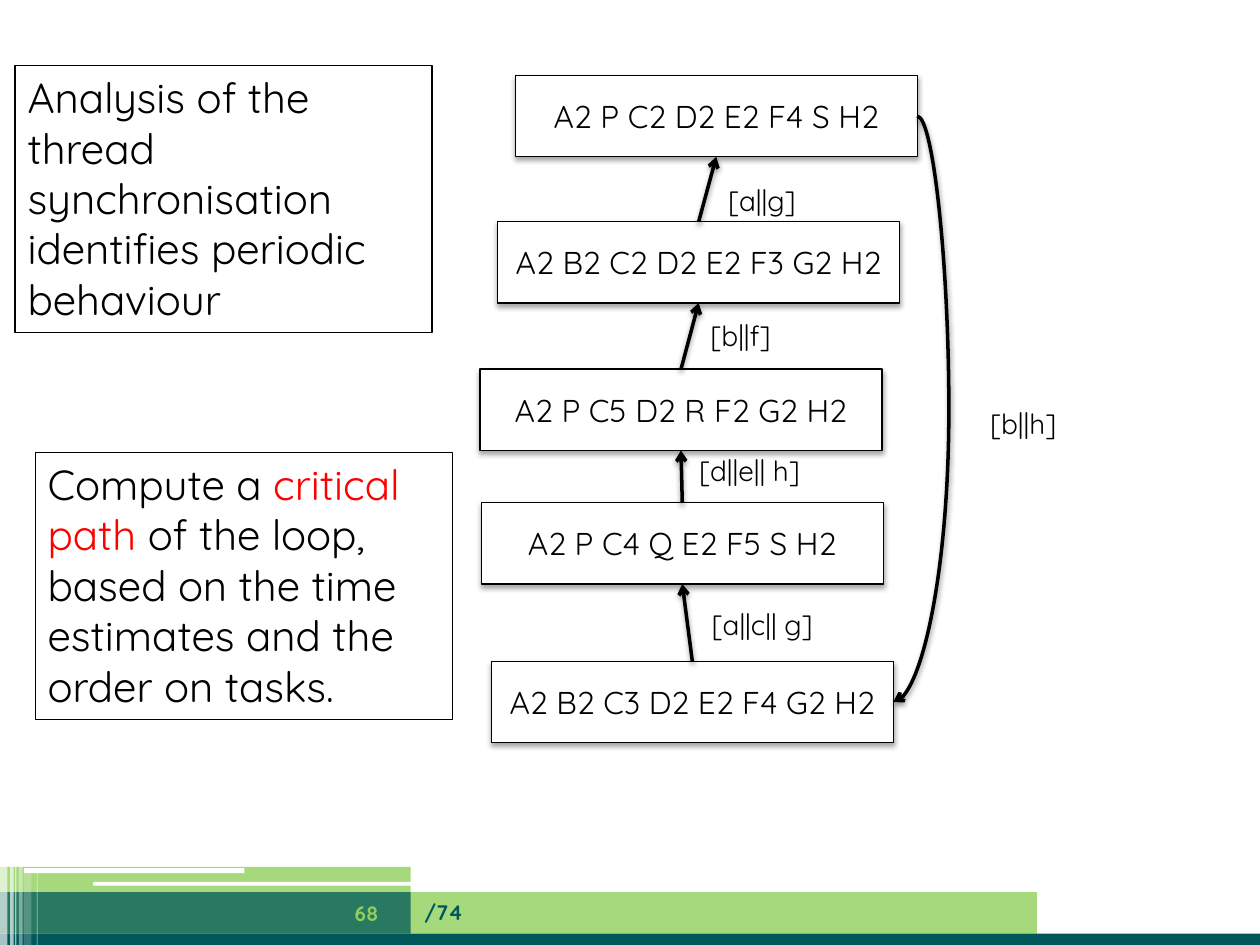
import pptx
import pptx.dml.color
import pptx.enum.shapes
import pptx.enum.text
import pptx.oxml
import pptx.oxml.ns
import pptx.util

RGB = pptx.dml.color.RGBColor
BLACK = RGB(0x00, 0x00, 0x00)
WHITE = RGB(0xFF, 0xFF, 0xFF)
RED = RGB(0xFF, 0x00, 0x00)
GREEN = RGB(0x90, 0xD0, 0x5C)
TEAL = RGB(0x00, 0x58, 0x5A)

KIND = pptx.enum.shapes.MSO_SHAPE
LINK = pptx.enum.shapes.MSO_CONNECTOR
ALIGN = pptx.enum.text.PP_ALIGN
ANCHOR = pptx.enum.text.MSO_ANCHOR
FIT = pptx.enum.text.MSO_AUTO_SIZE
TOP, BOTTOM, RIGHT = 0, 2, 3
NS = pptx.oxml.ns.nsdecls("a")
COLS, ROWS = 100, 75


def write(shape, paras, size=18, color=BLACK, bold=False, align=ALIGN.LEFT,
          anchor=ANCHOR.TOP, grow=False, font="Quicksand"):
    """Fill a shape with paragraphs, each a list of (text, colour or None)."""
    if isinstance(paras, str):
        paras = [[(paras, None)]]
    frame = shape.text_frame
    frame.word_wrap = True
    frame.vertical_anchor = anchor
    if grow:
        frame.auto_size = FIT.SHAPE_TO_FIT_TEXT
    for i, runs in enumerate(paras):
        para = frame.paragraphs[0] if i == 0 else frame.add_paragraph()
        para.alignment = align
        for text, tint in runs:
            run = para.add_run()
            run.text = text
            run.font.name = font
            run.font.size = pptx.util.Pt(size)
            run.font.bold = bold
            run.font.color.rgb = tint or color


def shade(item, alpha):
    """Give an item a soft shadow below it."""
    props = item._element.spPr
    for old in props.findall(pptx.oxml.ns.qn("a:effectLst")):
        props.remove(old)
    props.append(pptx.oxml.parse_xml(
        f'<a:effectLst {NS}><a:outerShdw blurRad="39400" dist="22900" '
        f'dir="5400000" rotWithShape="0"><a:srgbClr val="000000">'
        f'<a:alpha val="{alpha * 1000}"/></a:srgbClr></a:outerShdw></a:effectLst>'))


class Page:
    """A slide on a grid of COLS by ROWS; every place is left, top, width, height."""

    def __init__(self, deck):
        self.slide = deck.slides.add_slide(deck.slide_layouts[6])
        self.col = deck.slide_width / COLS
        self.row = deck.slide_height / ROWS

    def place(self, left, top, width, height):
        return [round(n) for n in (left * self.col, top * self.row,
                                   width * self.col, height * self.row)]

    def block(self, at, fill=None, edge=None, alpha=100, kind=KIND.RECTANGLE):
        shape = self.slide.shapes.add_shape(kind, *self.place(*at))
        shape.shadow.inherit = False
        if fill is None:
            shape.fill.background()
        else:
            shape.fill.solid()
            shape.fill.fore_color.rgb = fill
        if alpha < 100:
            tint = shape._element.spPr.find(".//" + pptx.oxml.ns.qn("a:srgbClr"))
            tint.append(pptx.oxml.parse_xml(f'<a:alpha {NS} val="{alpha * 1000}"/>'))
        if edge is None:
            shape.line.fill.background()
        else:
            shape.line.color.rgb = edge
            shape.line.width = pptx.util.Pt(0.75)
        return shape

    def state(self, at, text):
        shape = self.block(at, WHITE, BLACK)
        shade(shape, 35)
        write(shape, text, align=ALIGN.CENTER, anchor=ANCHOR.MIDDLE)
        return shape

    def note(self, at, paras):
        write(self.block(at, edge=BLACK), paras, size=24, grow=True)

    def label(self, at, text, **style):
        write(self.slide.shapes.add_textbox(*self.place(*at)), text, **style)

    def arrow(self, start, out, end, into, kind=LINK.STRAIGHT, bend=None):
        line = self.slide.shapes.add_connector(kind, 0, 0, 0, 0)
        line.begin_connect(start, out)
        line.end_connect(end, into)
        line.line.color.rgb = BLACK
        line.line.width = pptx.util.Pt(2)
        line.line._get_or_add_ln().append(
            pptx.oxml.parse_xml(f'<a:tailEnd {NS} type="arrow"/>'))
        if bend is not None:
            guides = line._element.spPr.prstGeom.get_or_add_avLst()
            guides.append(pptx.oxml.parse_xml(
                f'<a:gd {NS} name="adj1" fmla="val {round(bend * 100000)}"/>'))
        shade(line, 38)


BANDS = [  # place, colour, opacity
    ((0, 70.8, 82.3, 3.3), GREEN, 80),
    ((0, 74.1, 100, 0.9), TEAL, 100),
    ((0, 70.8, 32.6, 3.3), TEAL, 75),
    ((0, 68.8, 32.6, 2), GREEN, 80),
]
BARS = [(7.4, 70, 33.5, 0.3), (1.9, 68.9, 17.5, 0.4)]
STRIPES = [  # left, top, width, opacity
    (0, 68.6, 0.6, 65), (0.8, 68.6, 0.3, 65), (1.2, 68.6, 0.1, 60),
    (1.5, 68.6, 0.3, 40), (1.9, 69, 0.6, 20), (2.9, 69, 0.1, 30),
]
STATES = [  # left, top, tasks, from the bottom up
    (39, 52.5, "A2 B2 C3 D2 E2 F4 G2 H2"),
    (38.2, 39.9, "A2 P C4 Q E2 F5 S H2"),
    (38.1, 29.3, "A2 P C5 D2 R F2 G2 H2"),
    (39.5, 17.6, "A2 B2 C2 D2 E2 F3 G2 H2"),
    (40.9, 6, "A2 P C2 D2 E2 F4 S H2"),
]
LABELS = [  # left, top, tasks in step
    (55.5, 47.7, "[a||c|| g]"), (54.5, 35.5, "[d||e|| h]"),
    (55.4, 24.8, "[b||f]"), (56.8, 14.1, "[a||g]"), (77.6, 31.8, "[b||h]"),
]
PERIOD = "Analysis of the thread synchronisation identifies periodic behaviour"
CRITICAL = [
    [("Compute a ", None), ("critical", RED)],
    [("path ", RED), ("of the loop, based on the time", None)],
    [("estimates and the", None)],
    [("order on tasks.", None)],
]


def main():
    deck = pptx.Presentation()
    deck.slide_width = pptx.util.Inches(10)
    deck.slide_height = pptx.util.Inches(7.5)
    page = Page(deck)

    for at, fill, alpha in BANDS:
        page.block(at, fill, alpha=alpha)
    for at in BARS:
        page.block(at, WHITE, kind=KIND.ROUNDED_RECTANGLE)
    for left, top, width, alpha in STRIPES:
        page.block((left, top, width, ROWS - top), WHITE, alpha=alpha)

    chain = [page.state((left, top, 31.9, 6.45), text)
             for left, top, text in STATES]
    for low, high in zip(chain, chain[1:]):
        page.arrow(low, TOP, high, BOTTOM)
    page.arrow(chain[-1], RIGHT, chain[0], RIGHT, LINK.CURVE, bend=-1.32)
    for left, top, text in LABELS:
        page.label((left, top, 15, 3.7), text, size=16, grow=True)

    page.note((1.2, 5.2, 33.1, 21.2), PERIOD)
    page.note((2.8, 35.9, 33.1, 21.2), CRITICAL)

    foot = dict(size=12, bold=True, anchor=ANCHOR.MIDDLE)
    page.label((32.7, 70.4, 49.6, 4), "/74", color=TEAL, **foot)
    page.label((25.6, 70.5, 7, 4), "68", color=GREEN, align=ALIGN.CENTER, **foot)
    deck.save("out.pptx")


if __name__ == "__main__":
    main()
